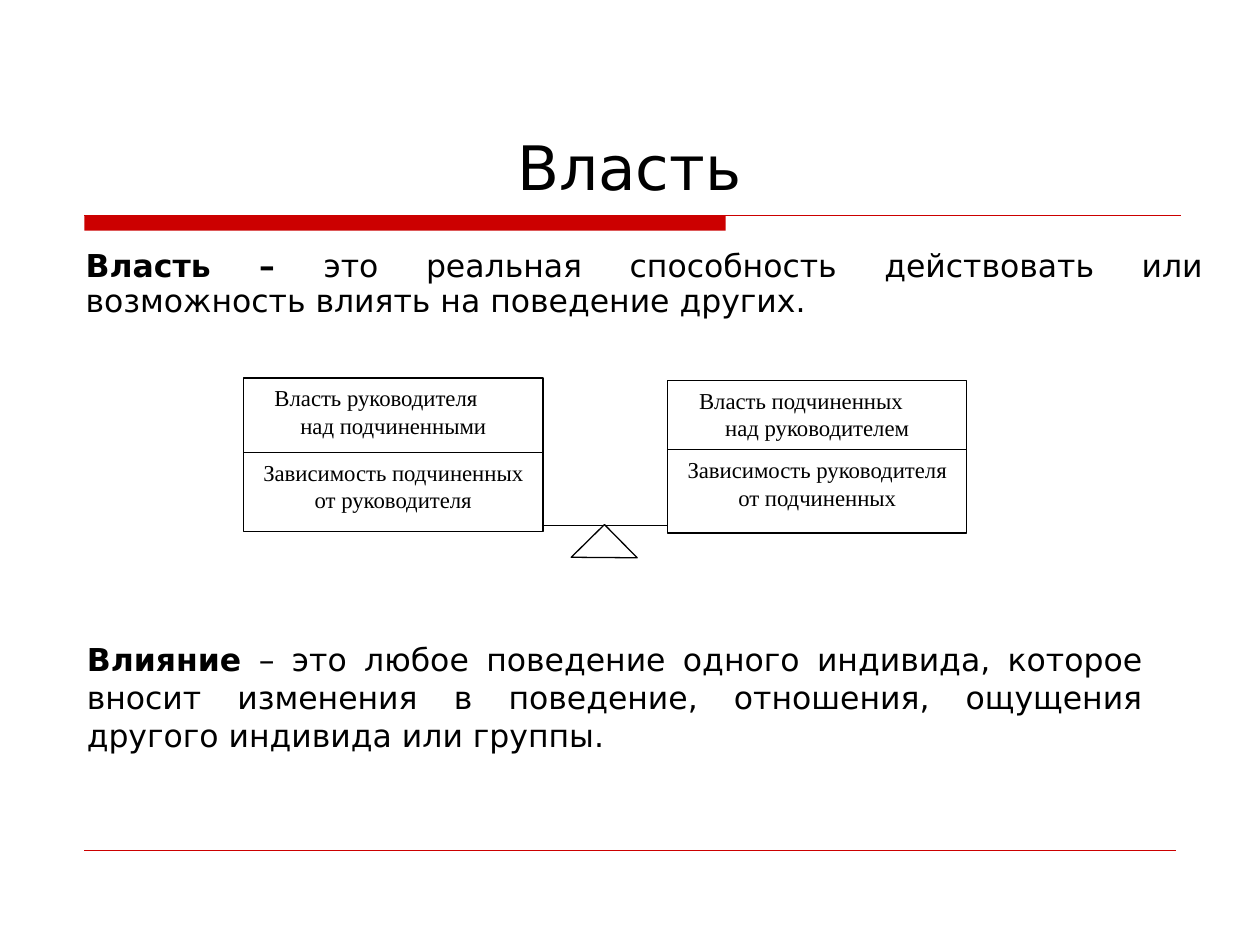
"""Builds the slide on power and influence with a balance diagram."""
from lxml.etree import SubElement
from pptx import Presentation
from pptx.dml.color import RGBColor
from pptx.enum.shapes import MSO_CONNECTOR, MSO_SHAPE
from pptx.enum.text import MSO_ANCHOR, MSO_AUTO_SIZE, PP_ALIGN
from pptx.oxml.ns import qn
from pptx.util import Inches, Pt

BLACK = RGBColor(0x00, 0x00, 0x00)
WHITE = RGBColor(0xFF, 0xFF, 0xFF)
RED = RGBColor(0xCC, 0x00, 0x00)
SANS, SERIF = "DejaVu Sans", "Times New Roman"
WIDTH, HEIGHT = Inches(10), Inches(7.5)
COLS, ROWS = 100, 75


def grid(col, row):
    return round(WIDTH * col / COLS), round(HEIGHT * row / ROWS)


def place(sp, col, row, cols, rows):
    sp.left, sp.top = grid(col, row)
    sp.width, sp.height = grid(cols, rows)


def add_run(p, text, size, font=SANS, bold=False):
    r = p.add_run()
    r.text = text
    r.font.size, r.font.name, r.font.bold = Pt(size), font, bold
    r.font.color.rgb = BLACK


def add_line(shapes, start, end, color, width):
    line = shapes.add_connector(MSO_CONNECTOR.STRAIGHT, *grid(*start), *grid(*end))
    line.line.color.rgb, line.line.width = color, Pt(width)
    SubElement(line._element.spPr, qn("a:effectLst"))


def add_figure(shapes, kind, box, fill=WHITE, outline=BLACK):
    sp = shapes.add_shape(kind, *grid(*box[:2]), *grid(*box[2:]))
    sp.shadow.inherit = False
    sp.fill.solid()
    sp.fill.fore_color.rgb = fill
    sp.line.color.rgb, sp.line.width = outline, Pt(0.75)
    return sp


def set_indent(p, cols):
    pPr = p._p.get_or_add_pPr()
    pPr.set("marL", str(grid(cols, 0)[0]))
    pPr.set("indent", "0")
    return pPr


def add_box(shapes, box, lines, stepped=False):
    sp = add_figure(shapes, MSO_SHAPE.RECTANGLE, box)
    tf = sp.text_frame
    tf.word_wrap, tf.vertical_anchor = True, MSO_ANCHOR.TOP
    for i, text in enumerate(lines):
        p = tf.paragraphs[0] if i == 0 else tf.add_paragraph()
        p.alignment = PP_ALIGN.CENTER
        if stepped and i == 0:
            p.alignment = PP_ALIGN.LEFT
            set_indent(p, 1.5)
        add_run(p, text, 13, SERIF)


def add_definition(sp, term, text):
    tf = sp.text_frame
    tf.word_wrap = True
    p = tf.paragraphs[0]
    p.alignment = PP_ALIGN.JUSTIFY
    add_run(p, term, 18, bold=True)
    add_run(p, text, 18)
    return p


def add_title(s):
    sp = s.shapes.title
    place(sp, 3.5, 3.3, 92.9, 13.3)
    sp.text_frame.vertical_anchor = MSO_ANCHOR.BOTTOM
    p = sp.text_frame.paragraphs[0]
    p.alignment = PP_ALIGN.CENTER
    add_run(p, "Власть", 35)


def add_body(s):
    sp = s.placeholders[1]
    place(sp, 2, 19.4, 94.5, 7.1)
    p = add_definition(sp, "Власть – ", "это реальная способность действовать "
                       "или возможность влиять на поведение других.")
    p.line_spacing, p.space_before = 0.9, Pt(4.5)
    SubElement(set_indent(p, 3.8), qn("a:buNone"))
    sp.text_frame.auto_size = MSO_AUTO_SIZE.NONE


def add_balance(s):
    shapes = s.shapes.add_group_shape().shapes
    add_box(shapes, (19.3, 30, 23.8, 6.2),
            ("Власть руководителя", "над подчиненными"), stepped=True)
    add_box(shapes, (19.3, 35.9, 23.8, 6.3),
            ("Зависимость подчиненных", "от руководителя"))
    add_box(shapes, (53, 30.2, 23.7, 6.2),
            ("Власть подчиненных", "над руководителем"), stepped=True)
    add_box(shapes, (53, 35.7, 23.7, 6.6),
            ("Зависимость руководителя", "от подчиненных"))
    add_line(shapes, (43, 41.7), (53, 41.7), BLACK, 0.75)
    pivot = add_figure(shapes, MSO_SHAPE.RIGHT_TRIANGLE, (46.1, 42.4, 3.7, 3.7))
    pivot.rotation = 135.4


def add_influence(s):
    sp = s.shapes.add_textbox(*grid(5.9, 50.3), *grid(85.8, 10))
    add_definition(sp, "Влияние", " – это любое поведение одного индивида, "
                   "которое вносит изменения в поведение, отношения, ощущения "
                   "другого индивида или группы.")


def main():
    prs = Presentation()
    prs.slide_width, prs.slide_height = WIDTH, HEIGHT
    s = prs.slides.add_slide(prs.slide_layouts[1])
    bar = add_figure(s.shapes, MSO_SHAPE.RECTANGLE, (6.7, 17.1, 50.9, 1.2), RED, RED)
    bar.line.fill.background()
    add_line(s.shapes, (6.7, 17.1), (93.7, 17.1), RED, 0.75)
    add_line(s.shapes, (6.7, 67.5), (93.3, 67.5), RED, 0.25)
    add_title(s)
    add_body(s)
    add_balance(s)
    add_influence(s)
    prs.save("out.pptx")


if __name__ == "__main__":
    main()
